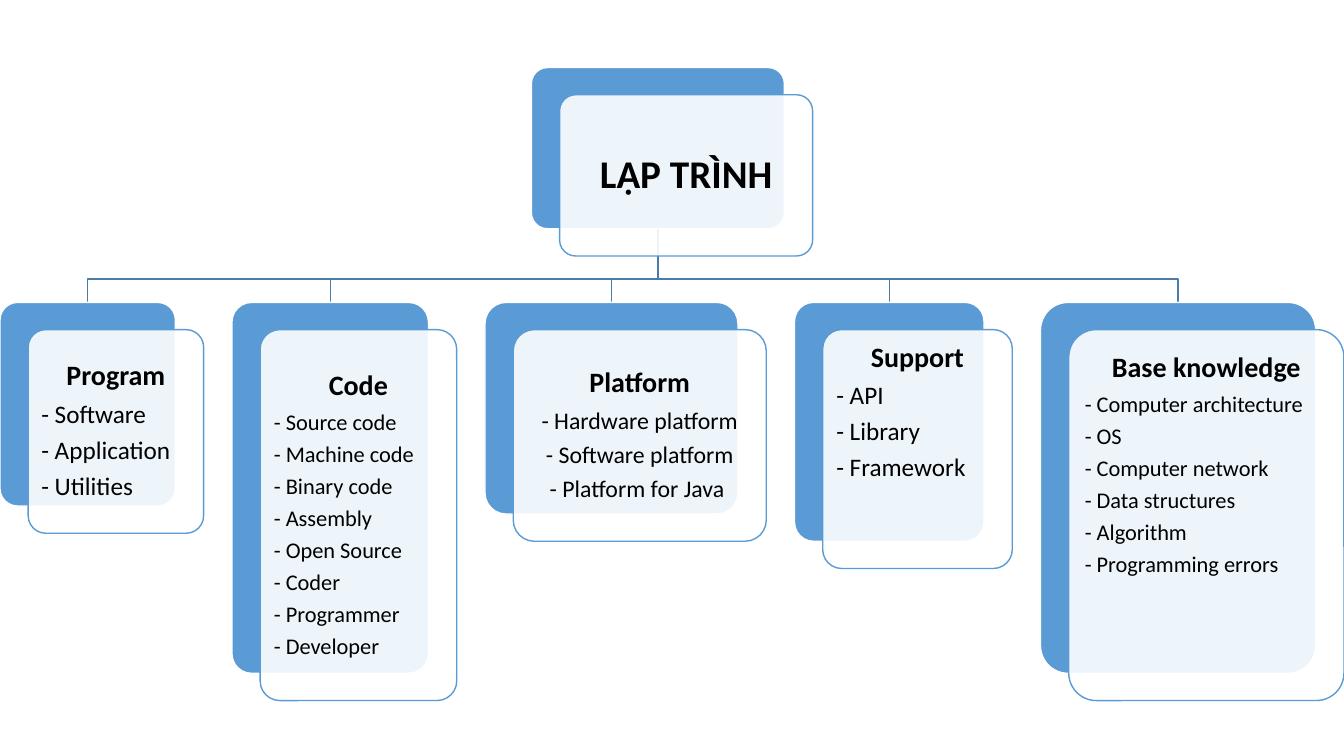
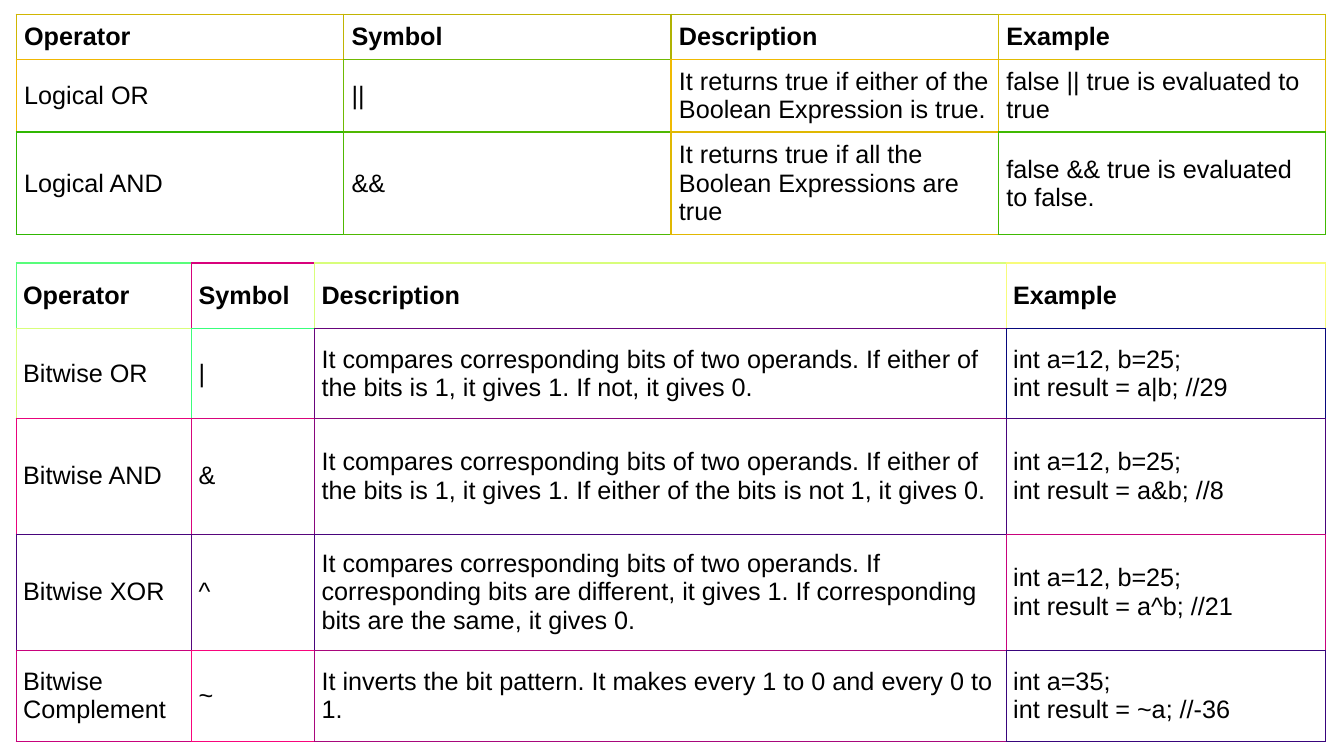
from lxml.etree import SubElement
from pptx import Presentation
from pptx.dml.color import RGBColor
from pptx.enum.shapes import MSO_SHAPE
from pptx.enum.text import MSO_ANCHOR, PP_ALIGN
from pptx.oxml.ns import qn
from pptx.util import Inches, Pt

BLACK = RGBColor(0x00, 0x00, 0x00)
WHITE = RGBColor(0xFF, 0xFF, 0xFF)
BLUE = RGBColor(0x5B, 0x9B, 0xD5)
BRANCH_BLUE = RGBColor(0x49, 0x7C, 0xAB)

CARD_SHIFT_X, CARD_SHIFT_Y = 0.28, 0.27
ROOT_LEFT, ROOT_TOP, ROOT_WIDTH, ROOT_HEIGHT = 5.27, 0.67, 2.51, 1.6
TRUNK_TOP = ROOT_TOP + ROOT_HEIGHT
BUS_Y = 2.77
TOPICS_TOP = 3
TABLE_LEFT, TABLE_WIDTH = 0.16, 12.99

TOPICS = [
    ("Program", 1.74, 2.02, 18, PP_ALIGN.LEFT, 0,
     ["Software", "Application", "Utilities"]),
    ("Code", 1.95, 3.68, 16, PP_ALIGN.LEFT, 0,
     ["Source code", "Machine code", "Binary code", "Assembly",
      "Open Source", "Coder", "Programmer", "Developer"]),
    ("Platform", 2.51, 2.1, 17, PP_ALIGN.CENTER, 0,
     ["Hardware platform", "Software platform", "Platform for Java "]),
    ("Support", 1.88, 2.37, 18, PP_ALIGN.LEFT, 0.72,
     ["API", "Library", "Framework"]),
    ("Base knowledge", 2.73, 3.68, 16, PP_ALIGN.LEFT, 0.99,
     ["Computer architecture", "OS", "Computer network",
      "Data structures", "Algorithm", "Programming errors"]),
]

HEADINGS = ["Operator", "Symbol", "Description", "Example"]

LOGICAL_ROWS = [
    HEADINGS,
    ["Logical OR", "||",
     "It returns true if either of the Boolean Expression is true.",
     "false || true is evaluated to true"],
    ["Logical AND", "&&",
     "It returns true if all the Boolean Expressions are true",
     "false && true is evaluated to false."],
]
LOGICAL_BORDERS = [
    ["D0B602", "C0B402", "B0B202", "D0BC02"],
    ["F0B702", "70B902", "F0BA02", "E0BB02"],
    ["30B702", "50B802", "E0B802", "40B902"],
]

BITWISE_ROWS = [
    HEADINGS,
    ["Bitwise OR", "|",
     "It compares corresponding bits of two operands. If either of the bits "
     "is 1, it gives 1. If not, it gives 0.",
     "int a=12, b=25;\nint result = a|b; //29"],
    ["Bitwise AND", "&",
     "It compares corresponding bits of two operands. If either of the bits "
     "is 1, it gives 1. If either of the bits is not 1, it gives 0.",
     "int a=12, b=25;\nint result = a&b; //8"],
    ["Bitwise XOR", "^",
     "It compares corresponding bits of two operands. If corresponding bits "
     "are different, it gives 1. If corresponding bits are the same, it gives 0.",
     "int a=12, b=25;\nint result = a^b; //21"],
    ["Bitwise Complement", "~",
     "It inverts the bit pattern. It makes every 1 to 0 and every 0 to 1.",
     "int a=35;\nint result = ~a; //-36"],
]
BITWISE_BORDERS = [
    ["58FD7B", "D8017C", "D8FE7B", "F8FC7B"],
    ["D8FE7B", "38FF7B", "68057C", "08087C"],
    ["E8037C", "D8047C", "88067C", "48047C"],
    ["48047C", "58067C", "48047C", "C8027C"],
    ["C8027C", "F8057C", "A8077C", "38057C"],
]


def set_insets(target, across, above, below):
    target.margin_left = target.margin_right = Inches(across)
    target.margin_top = Inches(above)
    target.margin_bottom = Inches(below)


def add_paragraph(frame, index, text, size, font_name, bold, align=PP_ALIGN.LEFT):
    paragraph = frame.paragraphs[0] if index == 0 else frame.add_paragraph()
    paragraph.alignment = align
    run = paragraph.add_run()
    run.text = text
    run.font.size = Pt(size)
    run.font.name = font_name
    run.font.bold = bold
    run.font.color.rgb = BLACK
    return paragraph


def add_branch(slide, start_x, end_x):
    outline = slide.shapes.build_freeform(
        Inches(start_x), Inches(TRUNK_TOP))
    corners = [(start_x, BUS_Y), (end_x, BUS_Y), (end_x, TOPICS_TOP)]
    outline.add_line_segments(
        [(Inches(x), Inches(y)) for x, y in corners], close=False)
    branch = outline.convert_to_shape()
    branch.shadow.inherit = False
    branch.fill.background()
    branch.line.color.rgb = BRANCH_BLUE
    branch.line.width = Pt(1)


def add_panel(slide, left, top, width, height, fill, line):
    panel = slide.shapes.add_shape(
        MSO_SHAPE.ROUNDED_RECTANGLE,
        Inches(left), Inches(top), Inches(width), Inches(height))
    panel.adjustments[0] = 0.1
    panel.shadow.inherit = False
    panel.fill.solid()
    panel.fill.fore_color.rgb = fill
    panel.line.color.rgb = line
    panel.line.width = Pt(1)
    return panel


def add_card(slide, left, top, width, height, lines, inset, room_below=0):
    add_panel(slide, left, top, width, height, BLUE, WHITE)
    front = add_panel(slide, left + CARD_SHIFT_X, top + CARD_SHIFT_Y,
                      width, height, WHITE, BLUE)
    colour = front._element.spPr.find(qn("a:solidFill"))[0]
    SubElement(colour, qn("a:alpha"), val="90000")
    frame = front.text_frame
    frame.word_wrap = True
    frame.vertical_anchor = MSO_ANCHOR.MIDDLE
    set_insets(frame, inset, inset, inset + room_below)
    for index, (text, size, bold, align) in enumerate(lines):
        paragraph = add_paragraph(frame, index, text, size, "Calibri", bold, align)
        paragraph.line_spacing = 0.9
        paragraph.space_after = Pt(0.35 * size)


def add_border(cell, side, colour, width):
    border = SubElement(cell._tc.get_or_add_tcPr(), qn(f"a:ln{side}"),
                        w=str(Pt(width)))
    fill = SubElement(border, qn("a:solidFill"))
    SubElement(fill, qn("a:srgbClr"), val=colour)


def add_cell_borders(cell, borders, row, column):
    own = borders[row][column]
    last_column = column == len(borders[row]) - 1
    last_row = row == len(borders) - 1
    right = own if last_column else borders[row][column + 1]
    below = own if last_row else borders[row + 1][column]
    add_border(cell, "L", own, 1)
    add_border(cell, "R", right, 0.75 if last_column else 1)
    add_border(cell, "T", own, 1)
    add_border(cell, "B", below, 0.75 if last_row else 1)


def add_operator_table(slide, top, widths, heights, rows, borders, side_inset):
    table = slide.shapes.add_table(
        len(rows), len(widths), Inches(TABLE_LEFT), Inches(top),
        Inches(TABLE_WIDTH), Inches(sum(heights))).table
    table.first_row = table.horz_banding = False
    for column, width in zip(table.columns, widths):
        column.width = Inches(width)
    for r, (texts, height) in enumerate(zip(rows, heights)):
        table.rows[r].height = Inches(height)
        for c, text in enumerate(texts):
            cell = table.cell(r, c)
            cell.vertical_anchor = MSO_ANCHOR.MIDDLE
            set_insets(cell, side_inset, 0.07, 0.07)
            add_cell_borders(cell, borders, r, c)
            cell.fill.solid()
            cell.fill.fore_color.rgb = WHITE
            for index, line in enumerate(text.split("\n")):
                add_paragraph(cell.text_frame, index, line, 18, "Arial", r == 0)


def build_topic_tree(slide):
    lefts = []
    left = 0
    for topic in TOPICS:
        lefts.append(left)
        left += topic[1] + 2 * CARD_SHIFT_X
    centers = [x + topic[1] / 2 for x, topic in zip(lefts, TOPICS)]

    for center in reversed(centers):
        add_branch(slide, ROOT_LEFT + ROOT_WIDTH / 2, center)

    add_card(slide, ROOT_LEFT, ROOT_TOP, ROOT_WIDTH, ROOT_HEIGHT,
             [("LẬP TRÌNH", 28, True, PP_ALIGN.CENTER)], 0.12)
    for left, (title, width, height, size, align, room, items) in zip(lefts, TOPICS):
        lines = [(title, 20, True, PP_ALIGN.CENTER)]
        lines += [(f"- {item}", size, False, align) for item in items]
        add_card(slide, left, TOPICS_TOP, width, height, lines, 0.08, room)


def build_operator_tables(slide):
    add_operator_table(slide, 0.14, [TABLE_WIDTH / 4] * 4, [0.45, 0.72, 1.02],
                       LOGICAL_ROWS, LOGICAL_BORDERS, 0.08)
    add_operator_table(slide, 2.61, [1.74, 1.22, 6.86, 3.17],
                       [0.65, 0.89, 1.15, 1.15, 0.91],
                       BITWISE_ROWS, BITWISE_BORDERS, 0.07)


def main():
    deck = Presentation()
    deck.slide_width = Inches(13.33)
    deck.slide_height = Inches(7.5)
    for build in (build_topic_tree, build_operator_tables):
        build(deck.slides.add_slide(deck.slide_layouts[6]))
    deck.save("out.pptx")


if __name__ == "__main__":
    main()
